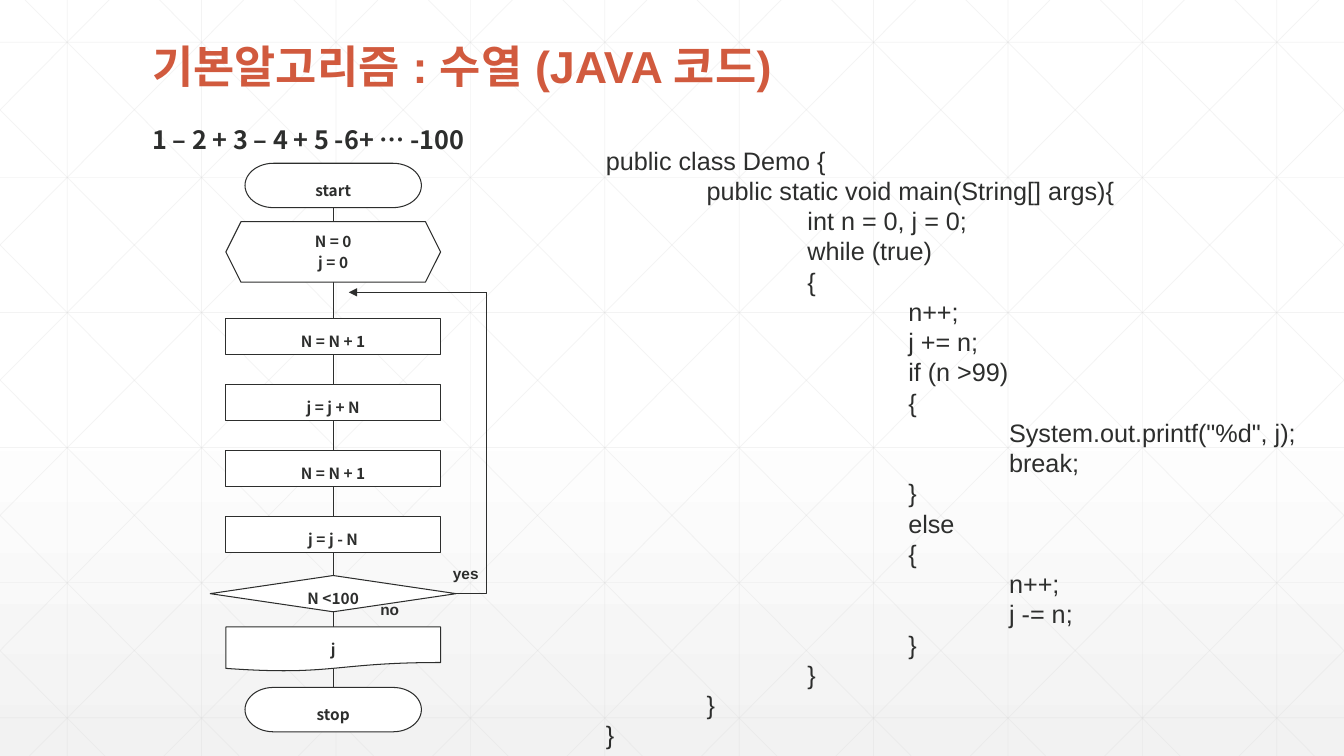
from dataclasses import dataclass

from lxml import etree
from pptx import Presentation
from pptx.dml.color import RGBColor
from pptx.enum.shapes import MSO_CONNECTOR, MSO_SHAPE
from pptx.enum.text import MSO_ANCHOR, PP_ALIGN
from pptx.oxml.ns import qn
from pptx.util import Inches, Pt

STRAIGHT, ELBOW = MSO_CONNECTOR.STRAIGHT, MSO_CONNECTOR.ELBOW
OVAL, BOX = MSO_SHAPE.FLOWCHART_TERMINATOR, MSO_SHAPE.RECTANGLE
HEX, RHOMB = MSO_SHAPE.HEXAGON, MSO_SHAPE.DIAMOND
PAGE = MSO_SHAPE.FLOWCHART_DOCUMENT
MIDDLE, CENTER, LEFT = MSO_ANCHOR.MIDDLE, PP_ALIGN.CENTER, PP_ALIGN.LEFT

COLORS = {"ink": "2D2E2D", "title": "D15A3E", "grid": "D9D9D9",
          "white": "FFFFFF", "shade": "F2F2F2"}
LATIN, KOREAN = "Arial", "Noto Sans CJK KR"
WIDTH, HEIGHT = 13.33, 7.5
AXIS = 3.305
RUN = 7.455  # width that a diagonal covers from top to bottom

CODE = """public class Demo {
    public static void main(String[] args){
        int n = 0, j = 0;
        while (true)
        {
            n++;
            j += n;
            if (n >99)
            {
                System.out.printf("%d", j);
                break;
            }
            else
            {
                n++;
                j -= n;
            }
        }
    }
}""".replace("    ", "\t")


@dataclass
class Step:
    kind: int
    top: float
    width: float
    height: float
    text: str
    space: float = 1.5


@dataclass
class Label:
    left: float
    top: float
    width: float
    height: float
    text: str
    size: float
    font: str = LATIN
    color: str = "ink"
    bold: bool = True
    align: int = LEFT
    space: float = 1
    before: float = 0
    wrap: bool = True
    tabs: int = 0


STEPS = [
    Step(OVAL, 1.62, 1.75, 0.44, "start"),
    Step(HEX, 2.2, 2.13, 0.6, "N = 0\nj = 0", 1),
    *(Step(BOX, 3.16 + 0.655 * i, 2.13, 0.36, text) for i, text in
      enumerate(["N = N + 1", "j = j + N", "N = N + 1", "j = j - N"])),
    Step(RHOMB, 5.71, 2.44, 0.36, "N <100"),
    Step(PAGE, 6.22, 2.13, 0.44, "j"),
    Step(OVAL, 6.82, 1.75, 0.44, "stop"),
]
LABELS = [
    Label(1.41, 0.39, 10.5, 0.61, "기본알고리즘 : 수열 (JAVA 코드)", 32,
          color="title", space=0.9),
    Label(1.41, 1.03, 10.5, 0.56, "1 – 2 + 3 – 4 + 5 -6+ … -100", 18,
          font=KOREAN, space=1.5, before=3.6),
    Label(3.67, 5.9, 0.39, 0.29, "no", 11, align=CENTER, wrap=False),
    Label(4.39, 5.55, 0.46, 0.29, "yes", 11, align=CENTER, wrap=False),
    Label(5.91, 1.39, 7.38, 6.16, CODE, 18, bold=False, tabs=4),
]


def rgb(name: str) -> RGBColor:
    return RGBColor.from_string(COLORS[name])


def style(para, size: float, font: str, color: str, bold: bool) -> None:
    para.font.size, para.font.name, para.font.bold = Pt(size), font, bold
    para.font.color.rgb = rgb(color)
    props = para._p.pPr.find(qn("a:defRPr"))
    etree.SubElement(props, qn("a:ea"), typeface=font)


def add_tabs(para, count: int) -> None:
    """Put a tab stop at each full inch."""
    tabs = etree.Element(qn("a:tabLst"))
    for i in range(1, count + 1):
        etree.SubElement(tabs, qn("a:tab"), pos=str(Inches(i)), algn="l")
    para._p.pPr.find(qn("a:defRPr")).addprevious(tabs)


def link(slide, start: tuple, end: tuple, color: str = "ink",
         weight: float = 0.75, kind: int = STRAIGHT):
    line = slide.shapes.add_connector(
        kind, *(Inches(value) for value in (*start, *end)))
    line.line.color.rgb, line.line.width = rgb(color), Pt(weight)
    etree.SubElement(line.element.spPr, qn("a:effectLst"))
    return line


def rule(slide, start: tuple, end: tuple) -> None:
    """Draw one faint line of the backdrop."""
    line = link(slide, start, end, "grid", 0.5)
    tint = next(line.element.spPr.iter(qn("a:srgbClr")))
    etree.SubElement(tint, qn("a:alpha"), val="30000")


def slant(slide, top: float, flip: bool) -> None:
    """Draw a diagonal from the top edge, cut off at the slide's sides."""
    ends = []
    for x in (max(top, 0), min(top + RUN, WIDTH)):
        ends.append((WIDTH - x if flip else x, (x - top) * HEIGHT / RUN))
    rule(slide, *ends)


def backdrop(slide) -> None:
    fill = slide.background.fill
    fill.gradient()
    fill.gradient_angle = 270
    for stop, name, place in zip(fill.gradient_stops, ("white", "shade"),
                                 (0.53, 1)):
        stop.color.rgb, stop.position = rgb(name), place
    for i in range(10):
        x = (i + 0.5) * WIDTH / 10
        rule(slide, (x, 0), (x, HEIGHT))
    for i in range(6):
        y = 0.42 + 1.34 * i
        rule(slide, (0, y), (WIDTH, y))
    for flip in (False, True):
        for i in range(-5, 10):
            slant(slide, 0.25 + i * WIDTH / 10, flip)


def draw_step(slide, step: Step) -> None:
    shape = slide.shapes.add_shape(
        step.kind, Inches(AXIS - step.width / 2), Inches(step.top),
        Inches(step.width), Inches(step.height))
    shape.shadow.inherit = False
    shape.fill.solid()
    shape.fill.fore_color.rgb = rgb("white")
    shape.line.color.rgb, shape.line.width = rgb("ink"), Pt(0.75)
    frame = shape.text_frame
    frame.margin_left = frame.margin_right = Inches(0)
    frame.margin_top = frame.margin_bottom = Inches(0)
    frame.vertical_anchor, frame.word_wrap = MIDDLE, True
    frame.text = step.text
    for para in frame.paragraphs:
        para.alignment, para.line_spacing = CENTER, step.space
        para.space_before = Pt(2.2)
        style(para, 11, KOREAN, "ink", True)


def draw_label(slide, label: Label) -> None:
    box = slide.shapes.add_textbox(
        Inches(label.left), Inches(label.top),
        Inches(label.width), Inches(label.height))
    frame = box.text_frame
    frame.word_wrap, frame.text = label.wrap, label.text
    for para in frame.paragraphs:
        para.alignment, para.line_spacing = label.align, label.space
        para.space_before = Pt(label.before)
        style(para, label.size, label.font, label.color, label.bold)
        if label.tabs:
            add_tabs(para, label.tabs)


def draw_loop(slide) -> None:
    """Draw the way back from the test to the top of the loop."""
    bend = link(slide, (4.52, 5.89), (4.83, 2.9), kind=ELBOW)
    bend.element.spPr.find(qn("a:prstGeom")).set("prst", "bentConnector2")
    back = link(slide, (4.83, 2.9), (3.46, 2.9))
    outline = back.element.spPr.find(qn("a:ln"))
    etree.SubElement(outline, qn("a:tailEnd"), type="triangle")


def main() -> None:
    deck = Presentation()
    deck.slide_width, deck.slide_height = Inches(WIDTH), Inches(HEIGHT)
    slide = deck.slides.add_slide(deck.slide_layouts[6])
    backdrop(slide)
    link(slide, (AXIS, 2.06), (AXIS, 6.82))
    for step in STEPS:
        draw_step(slide, step)
    draw_loop(slide)
    for label in LABELS:
        draw_label(slide, label)
    deck.save("out.pptx")


if __name__ == "__main__":
    main()
